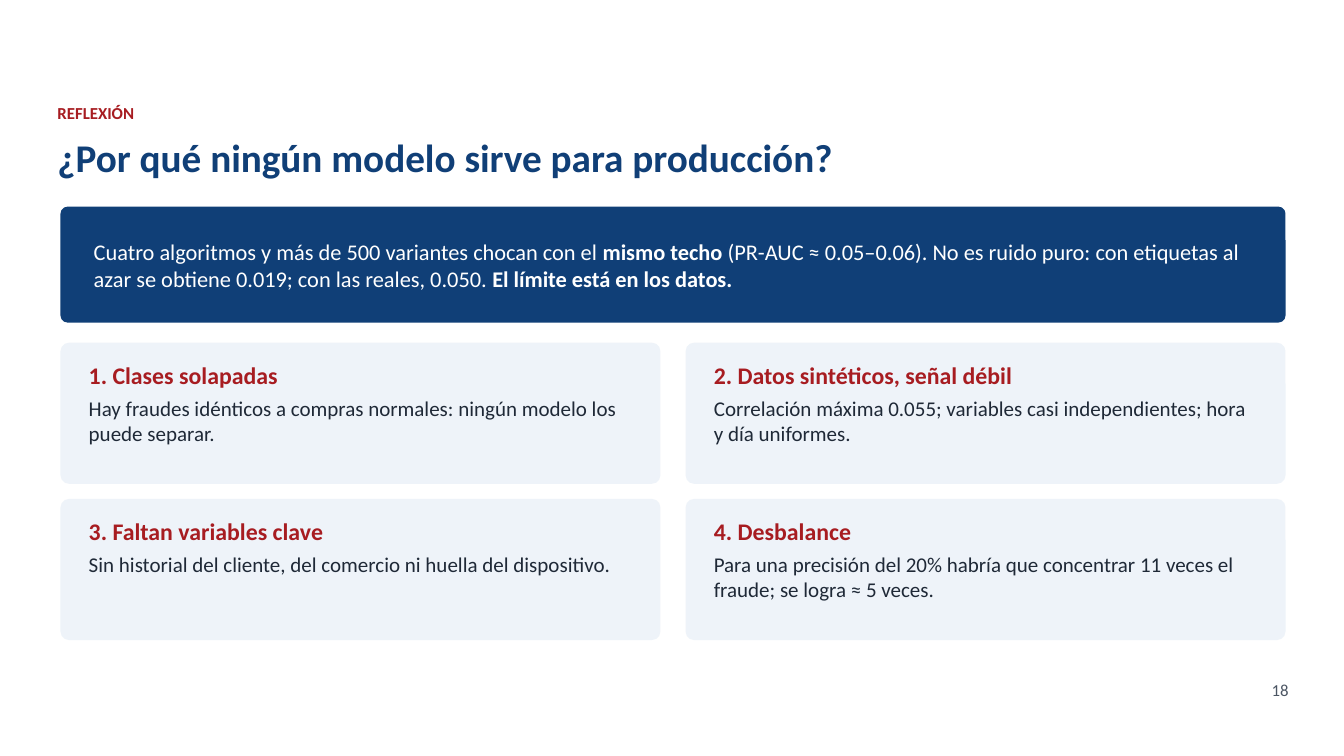
from dataclasses import dataclass

from pptx import Presentation
from pptx.dml.color import RGBColor
from pptx.enum.shapes import MSO_SHAPE
from pptx.enum.text import MSO_ANCHOR as Anchor, MSO_AUTO_SIZE as AutoSize, PP_ALIGN as Align
from pptx.slide import Slide
from pptx.util import Emu, Pt

EMU_PER_PX = 9144  # 100 px to the inch
FONT = "Calibri"
NAVY, RED, PALE, WHITE = "103F77", "A71C21", "EEF3F9", "FFFFFF"
INK, GREY = "1F2937", "4B5563"


@dataclass(frozen=True)
class Box:
    left: int
    top: int
    width: int
    height: int

    def emu(self) -> tuple[Emu, ...]:
        sides = (self.left, self.top, self.width, self.height)
        return tuple(Emu(side * EMU_PER_PX) for side in sides)


@dataclass(frozen=True)
class Piece:
    text: str
    size: int
    color: str
    bold: bool = False


@dataclass(frozen=True)
class Card:
    heading: str
    body: str


CARDS = [
    Card("1. Clases solapadas",
         "Hay fraudes idénticos a compras normales: ningún modelo los puede separar."),
    Card("2. Datos sintéticos, señal débil",
         "Correlación máxima 0.055; variables casi independientes; hora y día uniformes."),
    Card("3. Faltan variables clave",
         "Sin historial del cliente, del comercio ni huella del dispositivo."),
    Card("4. Desbalance",
         "Para una precisión del 20% habría que concentrar 11 veces el fraude; "
         "se logra ≈ 5 veces."),
]
CARD_COLUMNS = 2
CARD_LEFT, CARD_TOP, CARD_WIDTH, CARD_HEIGHT = 60, 340, 595, 140
CARD_GAP_X, CARD_GAP_Y = 25, 15


def rgb(color: str) -> RGBColor:
    return RGBColor.from_string(color)


def add_panel(slide: Slide, box: Box, color: str) -> None:
    shape = slide.shapes.add_shape(MSO_SHAPE.ROUNDED_RECTANGLE, *box.emu())
    shape.adjustments[0] = 0.06
    shape.shadow.inherit = False
    shape.fill.solid()
    shape.fill.fore_color.rgb = rgb(color)
    shape.line.fill.background()


def add_text(slide: Slide, box: Box, paragraphs: list[list[Piece]], inset: int = 2,
             anchor: Anchor = Anchor.TOP, align: Align = Align.LEFT) -> None:
    frame = slide.shapes.add_textbox(*box.emu()).text_frame
    frame.word_wrap = True
    frame.auto_size = AutoSize.SHAPE_TO_FIT_TEXT
    frame.vertical_anchor = anchor
    margin = Emu(inset * EMU_PER_PX)
    frame.margin_left = frame.margin_right = margin
    frame.margin_top = frame.margin_bottom = margin
    for index, pieces in enumerate(paragraphs):
        paragraph = frame.add_paragraph() if index else frame.paragraphs[0]
        paragraph.alignment = align
        paragraph.space_after = Pt(4)
        for piece in pieces:
            run = paragraph.add_run()
            run.text = piece.text
            run.font.name = FONT
            run.font.size = Pt(piece.size)
            run.font.bold = piece.bold
            run.font.color.rgb = rgb(piece.color)


def add_card(slide: Slide, card: Card, left: int, top: int) -> None:
    add_panel(slide, Box(left, top, CARD_WIDTH, CARD_HEIGHT), PALE)
    add_text(slide, Box(left + 20, top + 10, CARD_WIDTH - 40, CARD_HEIGHT - 15),
             [[Piece(card.heading, 17, RED, True)], [Piece(card.body, 15, INK)]], inset=8)


def main() -> None:
    presentation = Presentation()
    presentation.slide_width = Emu(1333 * EMU_PER_PX)
    presentation.slide_height = Emu(750 * EMU_PER_PX)
    slide = presentation.slides.add_slide(presentation.slide_layouts[6])

    # Heading and page number
    add_text(slide, Box(55, 100, 1220, 35), [[Piece("REFLEXIÓN", 12, RED, True)]])
    add_text(slide, Box(55, 130, 1220, 70),
             [[Piece("¿Por qué ningún modelo sirve para producción?", 28, NAVY, True)]])
    add_text(slide, Box(1160, 672, 120, 30), [[Piece("18", 12, GREY)]], align=Align.RIGHT)

    # Key message
    add_panel(slide, Box(60, 205, 1215, 115), NAVY)
    message = [
        Piece("Cuatro algoritmos y más de 500 variantes chocan con el ", 16, WHITE),
        Piece("mismo techo", 16, WHITE, True),
        Piece(" (PR-AUC ≈ 0.05–0.06). No es ruido puro: con etiquetas al azar se obtiene "
              "0.019; con las reales, 0.050. ", 16, WHITE),
        Piece("El límite está en los datos.", 16, WHITE, True),
    ]
    add_text(slide, Box(85, 210, 1170, 105), [message], inset=8, anchor=Anchor.MIDDLE)

    # Grid of reasons
    for index, card in enumerate(CARDS):
        row, column = divmod(index, CARD_COLUMNS)
        add_card(slide, card, CARD_LEFT + column * (CARD_WIDTH + CARD_GAP_X),
                 CARD_TOP + row * (CARD_HEIGHT + CARD_GAP_Y))

    presentation.save("out.pptx")


if __name__ == "__main__":
    main()
